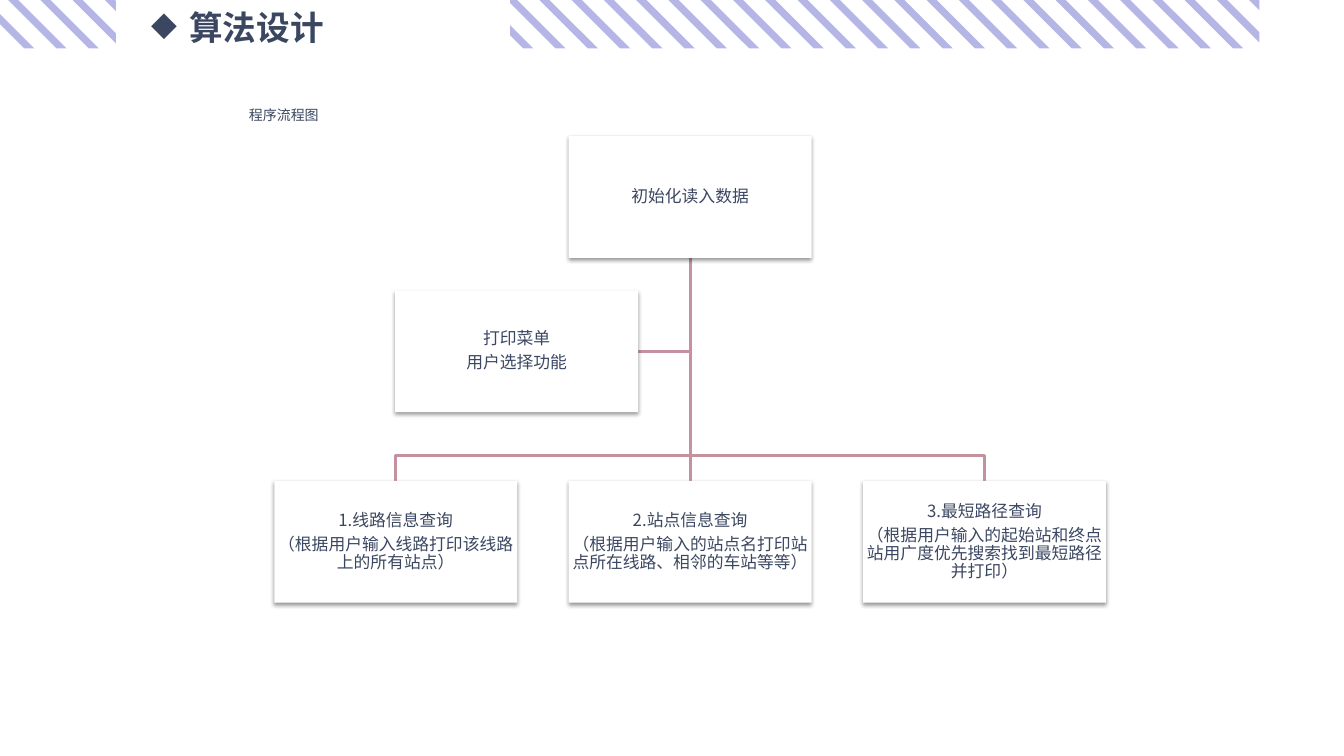
from lxml import etree
from pptx import Presentation, util as u
from pptx.dml.color import RGBColor
from pptx.enum import shapes, text
from pptx.oxml import parse_xml
from pptx.oxml.ns import nsdecls, qn

FONT = "Noto Sans CJK SC"
INK, STRIPE, LINK, WHITE = "3B4761", "B5B6E6", "C4919F", "FFFFFF"
BAND_TOP, BAND_HEIGHT = -0.38, 0.86
STRIPE_WIDTH, STRIPE_STEP = 0.1, 0.32
BOX_WIDTH, BOX_HEIGHT, COLUMN_STEP = 2.41, 1.21, 2.92
ROOT_LEFT, ROOT_TOP = 5.64, 1.35
MENU_LEFT, MENU_TOP = 3.92, 2.88
QUERY_TOP, BRANCH_Y = 4.77, 4.52
QUERIES = [
    ["1.线路信息查询", "（根据用户输入线路打印该线路上的所有站点）"],
    ["2.站点信息查询", "（根据用户输入的站点名打印站点所在线路、相邻的车站等等）"],
    ["3.最短路径查询", "（根据用户输入的起始站和终点站用广度优先搜索找到最短路径并打印）"],
]


def color(value):
    """Turn a hex string into a colour."""
    return RGBColor.from_string(value)


def add_outline(page, points, close):
    """Add a freeform through points given in inches."""
    corners = [(u.Inches(x), u.Inches(y)) for x, y in points]
    builder = page.shapes.build_freeform(*corners[0], scale=1.0)
    builder.add_line_segments(corners[1:], close=close)
    outline = builder.convert_to_shape()
    outline.shadow.inherit = False
    return outline


def add_stripes(page, first, count, left, right):
    """Add evenly spaced diagonal stripes cut off at left and right."""
    for index in range(count):
        start = first + index * STRIPE_STEP
        edges = []
        for origin in (start + STRIPE_WIDTH, start):
            ends = (max(origin, left), min(origin + BAND_HEIGHT, right))
            edges.append([(x, BAND_TOP + x - origin) for x in ends])
        upper, lower = edges
        stripe = add_outline(page, upper + lower[::-1], True)
        stripe.fill.solid()
        stripe.fill.fore_color.rgb = color(STRIPE)
        stripe.line.fill.background()


def style_line(line):
    """Give a line the colour and width of the chart links."""
    line.color.rgb = color(LINK)
    line.width = u.Pt(2)


def add_elbow(page, points):
    """Add a bent link through points."""
    elbow = add_outline(page, points, False)
    elbow.fill.background()
    style_line(elbow.line)


def add_trunk(page, x, top, bottom):
    """Add the straight vertical link."""
    trunk = page.shapes.add_connector(
        shapes.MSO_CONNECTOR.STRAIGHT,
        u.Inches(x), u.Inches(top), u.Inches(x), u.Inches(bottom))
    style_line(trunk.line)
    etree.SubElement(trunk._element.spPr, qn("a:effectLst"))


def write(frame, lines, size, bold=False):
    """Fill a text frame with lines and format their runs."""
    frame.word_wrap = True
    frame.text = "\n".join(lines)
    for para in frame.paragraphs:
        for span in para.runs:
            span.font.name = FONT
            span.font.size = u.Pt(size)
            span.font.bold = bold
            span.font.color.rgb = color(INK)
            east = etree.SubElement(span.font._element, qn("a:ea"))
            east.set("typeface", FONT)


def add_label(page, left, top, width, height, words, size, bold=False):
    """Add a one-line text box and return its paragraph."""
    label = page.shapes.add_textbox(*map(u.Inches, (left, top, width, height)))
    write(label.text_frame, [words], size, bold)
    return label.text_frame.paragraphs[0]


def add_bullet(para, mark, indent):
    """Give a paragraph a hanging bullet."""
    props = para._p.get_or_add_pPr()
    props.set("marL", str(u.Inches(indent)))
    props.set("indent", str(-u.Inches(indent)))
    etree.SubElement(props, qn("a:buChar")).set("char", mark)


def add_shadow(shape):
    """Add a soft shadow below a shape."""
    shape.shadow.inherit = False
    effects = shape._element.spPr.find(qn("a:effectLst"))
    effects.append(parse_xml(
        f'<a:outerShdw {nsdecls("a")} blurRad="{u.Pt(3.1)}" dist="{u.Pt(1.6)}" '
        'dir="5400000" rotWithShape="0"><a:srgbClr val="000000">'
        '<a:alpha val="38000"/></a:srgbClr></a:outerShdw>'))


def add_step(page, left, top, lines):
    """Add a white flow chart box with centred text."""
    box = page.shapes.add_shape(
        shapes.MSO_SHAPE.RECTANGLE,
        *map(u.Inches, (left, top, BOX_WIDTH, BOX_HEIGHT)))
    box.fill.solid()
    box.fill.fore_color.rgb = color(WHITE)
    box.line.fill.background()
    add_shadow(box)
    frame = box.text_frame
    frame.margin_left = frame.margin_right = u.Inches(0.01)
    frame.margin_top = frame.margin_bottom = u.Inches(0.01)
    frame.vertical_anchor = text.MSO_ANCHOR.MIDDLE
    write(frame, lines, 12)
    for para in frame.paragraphs:
        para.alignment = text.PP_ALIGN.CENTER
        para.line_spacing = 0.9
        para.space_after = u.Pt(4.2)


def add_flow_chart(page):
    """Add the links and boxes of the program flow."""
    axis = ROOT_LEFT + BOX_WIDTH / 2
    root_bottom = ROOT_TOP + BOX_HEIGHT
    menu_y = MENU_TOP + BOX_HEIGHT / 2
    add_elbow(page, [(axis, root_bottom), (axis, menu_y),
                     (MENU_LEFT + BOX_WIDTH, menu_y)])
    for x in (axis + COLUMN_STEP, axis - COLUMN_STEP):
        add_elbow(page, [(axis, root_bottom), (axis, BRANCH_Y),
                         (x, BRANCH_Y), (x, QUERY_TOP)])
    add_trunk(page, axis, root_bottom, QUERY_TOP)
    add_step(page, ROOT_LEFT, ROOT_TOP, ["初始化读入数据"])
    for column, lines in enumerate(QUERIES, start=-1):
        add_step(page, ROOT_LEFT + column * COLUMN_STEP, QUERY_TOP, lines)
    add_step(page, MENU_LEFT, MENU_TOP, ["打印菜单", "用户选择功能"])


def main():
    """Build and save the slide."""
    deck = Presentation()
    deck.slide_width, deck.slide_height = u.Inches(13.33), u.Inches(7.5)
    page = deck.slides.add_slide(deck.slide_layouts[6])
    add_stripes(page, 4.33, 25, 5.06, 12.49)
    add_stripes(page, -0.62, 5, -0.62, 1.15)
    title = add_label(page, 1.4, 0.02, 3.66, 0.5, "算法设计", 24, True)
    add_bullet(title, "◆", 0.38)
    add_label(page, 2.37, 1.01, 8.98, 0.57, "程序流程图", 10)
    add_flow_chart(page)
    deck.save("out.pptx")


main()
